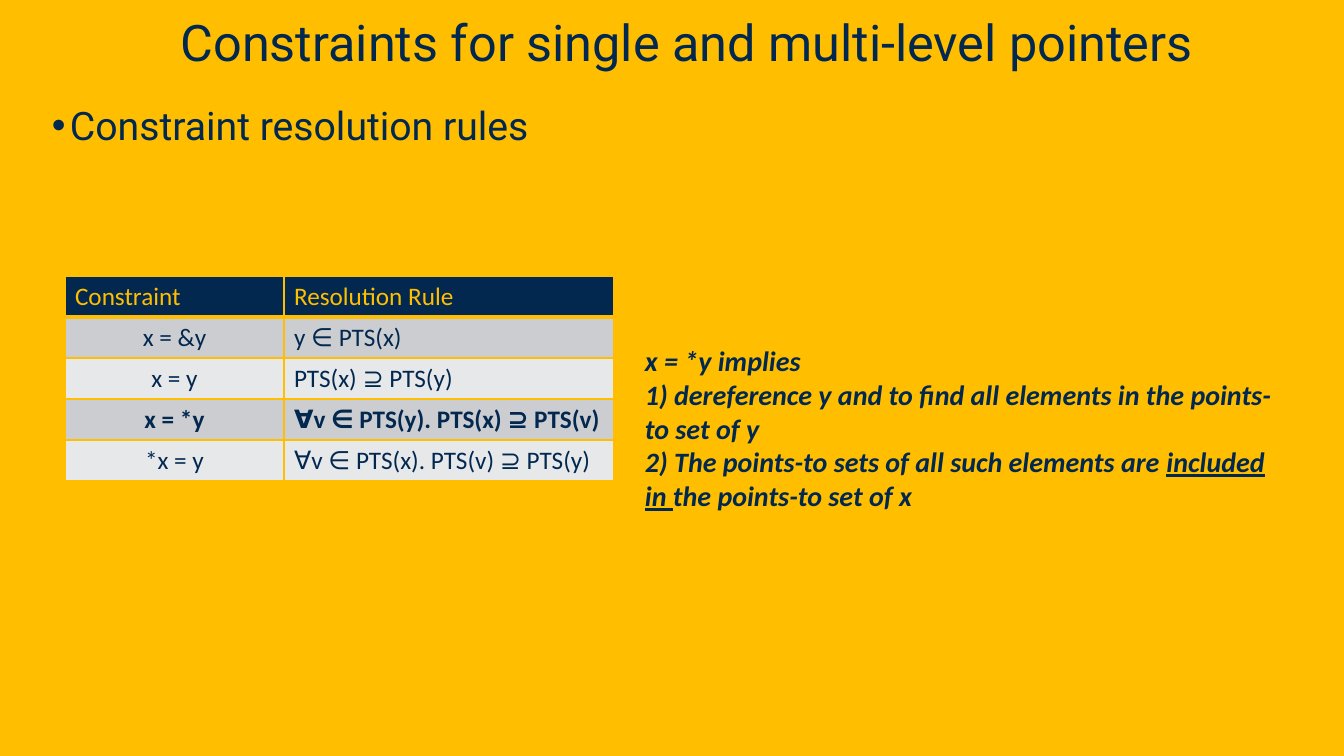
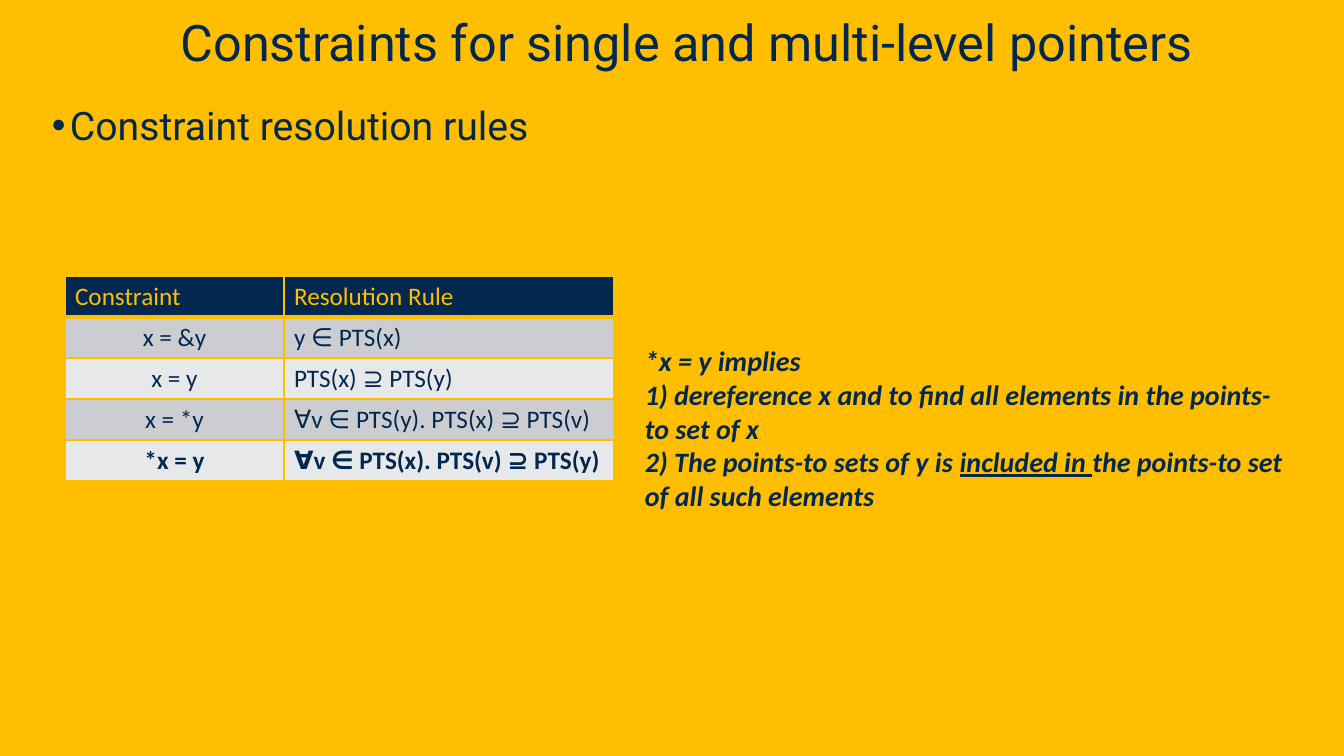
from lxml.etree import SubElement
from pptx import Presentation
from pptx.dml.color import RGBColor
from pptx.enum.text import MSO_ANCHOR as Anchor, PP_ALIGN as Align
from pptx.oxml.ns import qn
from pptx.util import Emu, Pt

SLIDE_WIDTH, SLIDE_HEIGHT = 1344, 756
EMU_PER_PX = 12192000 / SLIDE_WIDTH

GOLD = RGBColor(0xFF, 0xBE, 0x00)
NAVY = RGBColor(0x02, 0x28, 0x50)
GREY = RGBColor(0xCC, 0xCD, 0xD0)
PALE = RGBColor(0xE7, 0xE8, 0xE9)

TITLE_FONT = {"name": "Roboto", "size": Pt(36)}
HEADING_FONT = {"name": "Roboto", "size": Pt(28)}
TABLE_FONT = {"name": "Calibri", "size": Pt(18), "bold": False}
NOTE_FONT = {"name": "Calibri", "size": Pt(20), "bold": True, "italic": True}

TITLE = "Constraints for single and multi-level pointers"
HEADING = "Constraint resolution rules"
RULES = [
    ("Constraint", "Resolution Rule"),
    ("x = &y", "y ∈ PTS(x)"),
    ("x = y", "PTS(x) ⊇ PTS(y)"),
    ("x = *y", "∀v ∈ PTS(y). PTS(x) ⊇ PTS(v)"),
    ("*x = y", "∀v ∈ PTS(x). PTS(v) ⊇ PTS(y)"),
]
COLUMN_WIDTHS = (219, 330)
ROW_HEIGHT = 41

EXPLANATIONS = {
    "x = *y": [
        ["x = *y implies"],
        ["1) dereference y and to find all elements in the points-to set of y"],
        ["2) The points-to sets of all such elements are ", "included in ",
         "the points-to set of x"],
    ],
    "*x = y": [
        ["*x = y implies"],
        ["1) dereference x and to find all elements in the points-to set of x"],
        ["2) The points-to sets of y is ", "included in ",
         "the points-to set of all such elements"],
    ],
}


def px(length):
    return Emu(round(length * EMU_PER_PX))


def apply_format(target, values):
    for key, value in values.items():
        setattr(target, key, value)


def write(paragraph, text, font_values, color=NAVY):
    run = paragraph.add_run()
    run.text = text
    apply_format(run.font, font_values)
    run.font.color.rgb = color


def add_text_frame(slide, left, top, width, height, anchor=Anchor.TOP):
    frame = slide.shapes.add_textbox(px(left), px(top), px(width), px(height)).text_frame
    apply_format(frame, {"word_wrap": True, "vertical_anchor": anchor})
    return frame


def set_indent(paragraph, margin, first_line=0):
    properties = paragraph._p.get_or_add_pPr()
    properties.set("marL", str(px(margin)))
    properties.set("indent", str(px(first_line)))
    return properties


def add_title(slide):
    title = add_text_frame(slide, 0, 0, SLIDE_WIDTH, 77, Anchor.BOTTOM).paragraphs[0]
    set_indent(title, 30)
    title.alignment = Align.CENTER
    write(title, TITLE, TITLE_FONT)


def add_heading(slide):
    heading = add_text_frame(slide, 42, 87, 621, 556).paragraphs[0]
    properties = set_indent(heading, 18, -18)
    SubElement(properties, qn("a:buFont"), typeface="Arial")
    SubElement(properties, qn("a:buChar"), char="•")
    apply_format(heading, {"line_spacing": 1.2, "space_after": Pt(6)})
    write(heading, HEADING, HEADING_FONT)


def set_borders(cell, top, bottom):
    properties = cell._tc.get_or_add_tcPr()
    for side, points in (("L", 1), ("R", 1), ("T", top), ("B", bottom)):
        border = SubElement(properties, qn(f"a:ln{side}"), w=str(Pt(points)))
        fill = SubElement(border, qn("a:solidFill"))
        SubElement(fill, qn("a:srgbClr"), val=str(GOLD))


def add_rules_table(slide, highlighted):
    table = slide.shapes.add_table(
        len(RULES), len(COLUMN_WIDTHS), px(65), px(276),
        px(sum(COLUMN_WIDTHS)), px(ROW_HEIGHT * len(RULES))).table
    table.horz_banding = False
    for column, width in zip(table.columns, COLUMN_WIDTHS):
        column.width = px(width)
    for row_index, rule in enumerate(RULES):
        table.rows[row_index].height = px(ROW_HEIGHT)
        is_header = row_index == 0
        background = NAVY if is_header else (PALE, GREY)[row_index % 2]
        font_values = TABLE_FONT | {"bold": rule[0] == highlighted}
        for column_index, text in enumerate(rule):
            cell = table.cell(row_index, column_index)
            set_borders(cell, 3 if row_index == 1 else 1, 3 if is_header else 1)
            cell.fill.solid()
            cell.fill.fore_color.rgb = background
            paragraph = cell.text_frame.paragraphs[0]
            if column_index == 0 and not is_header:
                paragraph.alignment = Align.CENTER
            write(paragraph, text, font_values, GOLD if is_header else NAVY)


def add_explanation(slide, lines):
    frame = add_text_frame(slide, 635, 339, 667, 179)
    for index, parts in enumerate(lines):
        paragraph = frame.add_paragraph() if index else frame.paragraphs[0]
        for part_index, part in enumerate(parts):
            write(paragraph, part, NOTE_FONT | {"underline": part_index == 1})


def add_rule_slide(deck, constraint, lines):
    slide = deck.slides.add_slide(deck.slide_layouts[6])
    slide.background.fill.solid()
    slide.background.fill.fore_color.rgb = GOLD
    add_title(slide)
    add_heading(slide)
    add_rules_table(slide, constraint)
    add_explanation(slide, lines)


def main():
    deck = Presentation()
    apply_format(deck, {"slide_width": px(SLIDE_WIDTH), "slide_height": px(SLIDE_HEIGHT)})
    for constraint, lines in EXPLANATIONS.items():
        add_rule_slide(deck, constraint, lines)
    deck.save("out.pptx")


if __name__ == "__main__":
    main()
